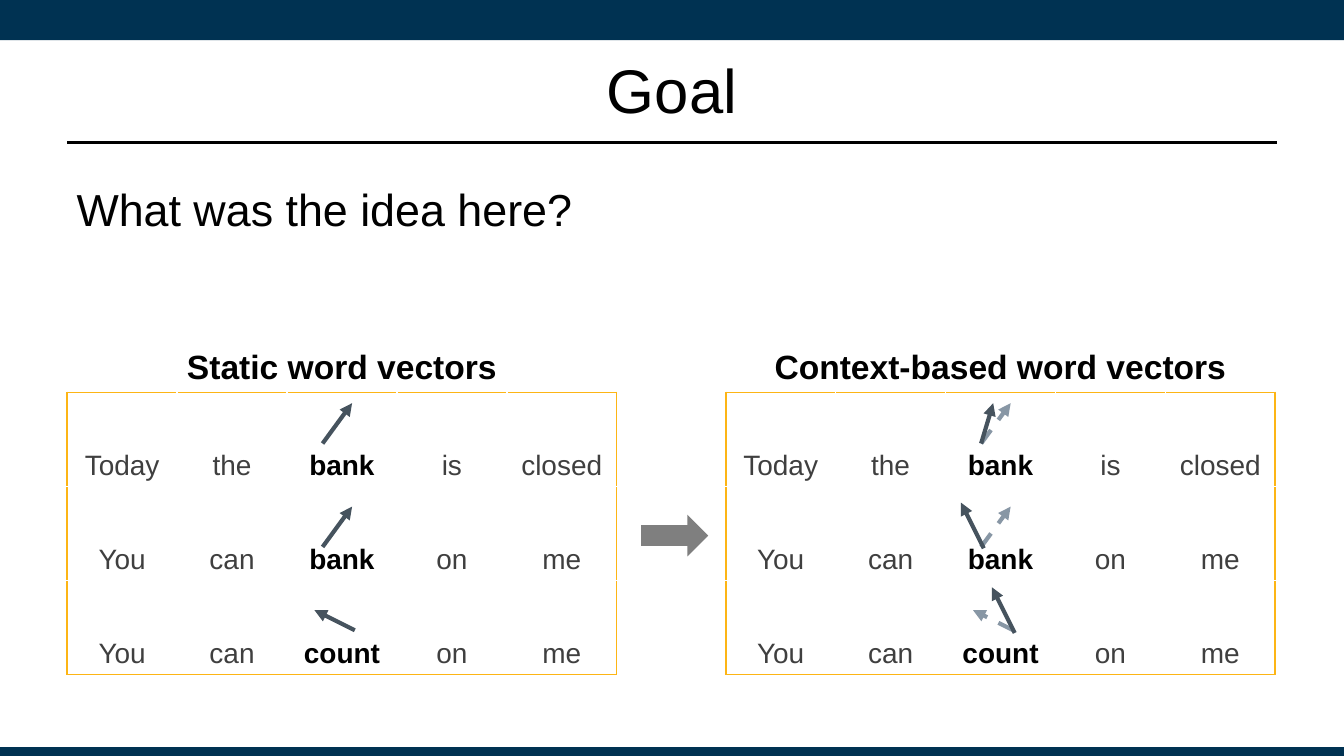
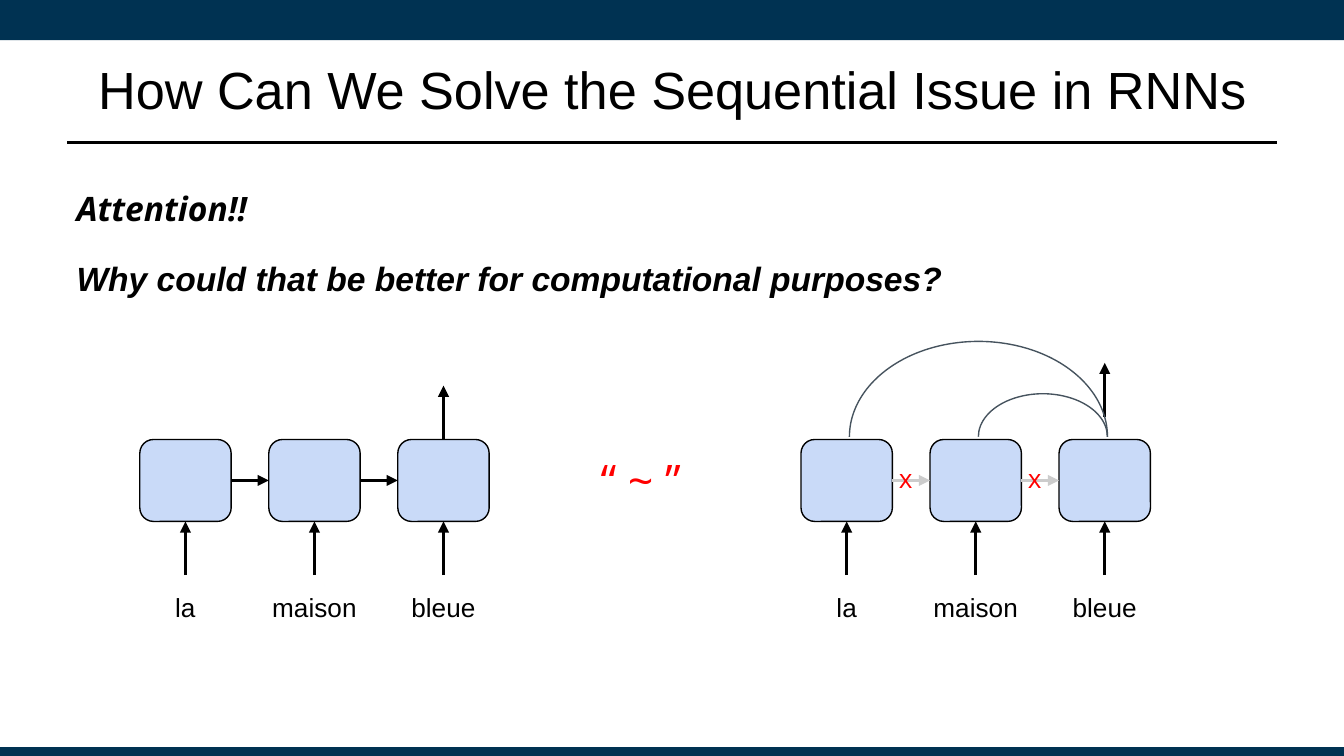
from lxml.etree import SubElement
from pptx import Presentation
from pptx.dml.color import RGBColor
from pptx.enum.dml import MSO_LINE
from pptx.enum.shapes import MSO_CONNECTOR, MSO_SHAPE
from pptx.enum.text import MSO_ANCHOR, MSO_AUTO_SIZE, PP_ALIGN
from pptx.oxml import parse_xml
from pptx.oxml.ns import nsdecls, qn
from pptx.util import Inches, Pt

COLORS = {
    "navy": "003252", "black": "000000", "white": "FFFFFF", "amber": "FDB515",
    "gray": "7F7F7F", "text": "3F3F3F", "slate": "46535E", "faded": "8897A5",
    "cell": "C9DAF8", "cut": "CCCCCC", "red": "FF0000",
}
SANS, OPEN = "Arial", "Open Sans"
TABLE_X, TABLE_Y, TABLE_W = (0.5, 5.4), 2.56, 4.09
HEADER_H, ROW_H = 0.36, 0.7
SENTENCES = ["Today the bank is closed", "You can bank on me", "You can count on me"]
FOCUS_COL = 2
STATIC_VECTORS = [(2.4, 3.3, 2.62, 3), (2.4, 4.07, 2.62, 3.77), (2.64, 4.69, 2.34, 4.54)]
CONTEXT_VECTORS = [(7.3, 3.3, 7.39, 3), (7.32, 4.08, 7.15, 3.74), (7.55, 4.71, 7.38, 4.37)]
WORDS = ["la", "maison", "bleue"]
CELL_W, CELL_H, CELL_Y, PITCH = 0.68, 0.61, 3.27, 0.96
ARROW_LEN = 0.4


def rgb(name):
    return RGBColor.from_string(COLORS[name])


# Text
def add_run(p, text, size, color="black", font=SANS, bold=False, italic=False):
    r = p.add_run()
    r.text = text
    r.font.size, r.font.name = Pt(size), font
    r.font.bold, r.font.italic = bold, italic
    r.font.color.rgb = rgb(color)


def set_frame(tf, dx, dy, anchor=MSO_ANCHOR.TOP):
    tf.word_wrap = True
    tf.auto_size = MSO_AUTO_SIZE.NONE
    tf.vertical_anchor = anchor
    tf.margin_left = tf.margin_right = Inches(dx)
    tf.margin_top = tf.margin_bottom = Inches(dy)


def add_text(s, x, y, w, h, inset=(0.1, 0.1), anchor=MSO_ANCHOR.TOP):
    tf = s.shapes.add_textbox(Inches(x), Inches(y), Inches(w), Inches(h)).text_frame
    set_frame(tf, *inset, anchor)
    return tf


def add_body(s):
    return add_text(s, 0.5, 1.31, 9, 3.71, (0.07, 0.04))


# Shapes and lines
def add_box(s, kind, x, y, w, h, fill=None, line=None, width=0.75):
    sp = s.shapes.add_shape(kind, Inches(x), Inches(y), Inches(w), Inches(h))
    sp.shadow.inherit = False
    if fill:
        sp.fill.solid()
        sp.fill.fore_color.rgb = rgb(fill)
    else:
        sp.fill.background()
    if line:
        sp.line.color.rgb = rgb(line)
        sp.line.width = Pt(width)
    else:
        sp.line.fill.background()
    return sp


def add_line(s, x1, y1, x2, y2, color="black", width=1.5, arrow=True, dash=False):
    c = s.shapes.add_connector(MSO_CONNECTOR.STRAIGHT, Inches(x1), Inches(y1),
                               Inches(x2), Inches(y2))
    c.line.color.rgb = rgb(color)
    c.line.width = Pt(width)
    if dash:
        c.line.dash_style = MSO_LINE.DASH
    sp_pr = c.element.spPr
    if arrow:
        SubElement(sp_pr.find(qn("a:ln")), qn("a:tailEnd"), type="triangle")
    SubElement(sp_pr, qn("a:effectLst"))
    return c


def add_arch(s, x1, x2, base, rise):
    sp = add_box(s, MSO_SHAPE.ARC, x1, base - rise, x2 - x1, 2 * rise, line="slate")
    sp.adjustments[0] = 108  # 180 degrees; the arc ends at 0
    sp.adjustments[1] = 0


# Shared frame: bands and title rule go on the layout
def add_frame(s):
    parts = [
        add_box(s, MSO_SHAPE.RECTANGLE, 0, 0, 10, 0.3, "navy"),
        add_box(s, MSO_SHAPE.RECTANGLE, 0, 5.56, 10, 0.08, "navy"),
        add_line(s, 0.5, 1.06, 9.5, 1.06, width=1.25, arrow=False),
    ]
    tree = s.slide_layout.shapes.element
    for i, part in enumerate(parts):
        part.element.xpath(".//p:cNvPr")[0].set("id", str(100 + i))
        tree.insert(2 + i, part.element)


def add_slide(prs, title, size):
    s = prs.slides.add_slide(prs.slide_layouts[5])
    sp = s.shapes.title
    sp.left, sp.top, sp.width, sp.height = map(Inches, (0.5, 0.19, 9, 0.94))
    set_frame(sp.text_frame, 0.07, 0.04, MSO_ANCHOR.MIDDLE)
    p = sp.text_frame.paragraphs[0]
    p.alignment = PP_ALIGN.CENTER
    add_run(p, title, size)
    return s


# Word table
def set_borders(cell, left, right, top, bottom):
    tc_pr = cell._tc.get_or_add_tcPr()
    for i, (side, color) in enumerate(zip("LRTB", (left, right, top, bottom))):
        tc_pr.insert(i, parse_xml(
            f'<a:ln{side} {nsdecls("a")} w="12700"><a:solidFill>'
            f'<a:srgbClr val="{COLORS[color]}"/></a:solidFill></a:ln{side}>'))


def fill_cell(cell, text, size, color, bold, anchor):
    cell.margin_left = cell.margin_right = Inches(0.08)
    cell.margin_top = cell.margin_bottom = Inches(0.04)
    cell.vertical_anchor = anchor
    p = cell.text_frame.paragraphs[0]
    p.alignment = PP_ALIGN.CENTER
    add_run(p, text, size, color, bold=bold)


def add_word_table(s, x, heading):
    rows = [sentence.split() for sentence in SENTENCES]
    n_rows, n_cols = len(rows), len(rows[0])
    table = s.shapes.add_table(n_rows + 1, n_cols, Inches(x), Inches(TABLE_Y), Inches(TABLE_W),
                               Inches(HEADER_H + n_rows * ROW_H)).table
    table.first_row = table.horz_banding = False
    for i, row in enumerate(table.rows):
        row.height = Inches(ROW_H if i else HEADER_H)
        for j, cell in enumerate(row.cells):
            cell.fill.solid()
            cell.fill.fore_color.rgb = rgb("white")
            edges = (i and j == 0, i and j == n_cols - 1, i == 1, i in (0, n_rows))
            set_borders(cell, *("amber" if edge else "white" for edge in edges))
            if i:
                focus = j == FOCUS_COL
                fill_cell(cell, rows[i - 1][j], 15, "black" if focus else "text", focus,
                          MSO_ANCHOR.BOTTOM)
    table.cell(0, 0).merge(table.cell(0, n_cols - 1))
    fill_cell(table.cell(0, 0), heading, 18, "black", True, MSO_ANCHOR.TOP)


# Recurrent network of three cells
def add_network(s, x, out_y, link="black"):
    centers = [x + CELL_W / 2 + i * PITCH for i in range(len(WORDS))]
    bottom, mid = CELL_Y + CELL_H, CELL_Y + CELL_H / 2
    for cx, word in zip(centers, WORDS):
        add_box(s, MSO_SHAPE.ROUNDED_RECTANGLE, cx - CELL_W / 2, CELL_Y, CELL_W, CELL_H,
                "cell", "black")
        tf = add_text(s, cx - PITCH / 2, bottom + ARROW_LEN, PITCH, 0.47,
                      anchor=MSO_ANCHOR.MIDDLE)
        tf.paragraphs[0].alignment = PP_ALIGN.CENTER
        add_run(tf.paragraphs[0], word, 14)
        add_line(s, cx, bottom + ARROW_LEN, cx, bottom)
    add_line(s, centers[-1], out_y, centers[-1], out_y - ARROW_LEN)
    for a, b in zip(centers, centers[1:]):
        add_line(s, a + CELL_W / 2, mid, b - CELL_W / 2, mid, link)
    return centers


def build_goal(s):
    add_run(add_body(s).paragraphs[0], "What was the idea here?", 24)
    add_box(s, MSO_SHAPE.RIGHT_ARROW, 4.77, 3.83, 0.5, 0.31, "gray")
    for x, heading in zip(TABLE_X, ("Static word vectors", "Context-based word vectors")):
        add_word_table(s, x, heading)
    shift = TABLE_X[1] - TABLE_X[0]
    for x1, y1, x2, y2 in STATIC_VECTORS:
        add_line(s, x1, y1, x2, y2, "slate", 2.25)
        add_line(s, x1 + shift, y1, x2 + shift, y2, "faded", 2.25, dash=True)
    for vector in CONTEXT_VECTORS:
        add_line(s, *vector, "slate", 2.25)


def build_attention(s):
    tf = add_body(s)
    p = tf.paragraphs[0]
    p.line_spacing = 1.15
    add_run(p, "Attention!!", 18, font=OPEN, bold=True, italic=True)
    p = tf.add_paragraph()
    p.space_before = Pt(16)
    add_run(p, "Why could that be better for computational purposes?", 18,
            bold=True, italic=True)

    # Sequential network, then the one with its links cut
    add_network(s, 1.04, CELL_Y)
    centers = add_network(s, 5.96, 3.1, "cut")
    for cx in centers[:-1]:
        tf = add_text(s, cx + 0.29, 3.34, 0.42, 0.44)
        add_run(tf.paragraphs[0], "x", 14, "red", OPEN)

    # Attention links to the last cell
    for cx, rise in zip(centers, (0.71, 0.32)):
        add_arch(s, cx + 0.02, centers[-1] + 0.02, 3.25, rise)

    tf = add_text(s, 4.37, CELL_Y, 0.9, CELL_H)
    add_run(tf.paragraphs[0], "“ ~ ”", 24, "red", OPEN)


def main():
    prs = Presentation()
    prs.slide_width = Inches(10)
    prs.slide_height = prs.slide_width * 9 // 16
    goal = add_slide(prs, "Goal", 33)
    add_frame(goal)
    build_goal(goal)
    build_attention(add_slide(prs, "How Can We Solve the Sequential Issue in RNNs", 28))
    prs.save("out.pptx")


if __name__ == "__main__":
    main()
